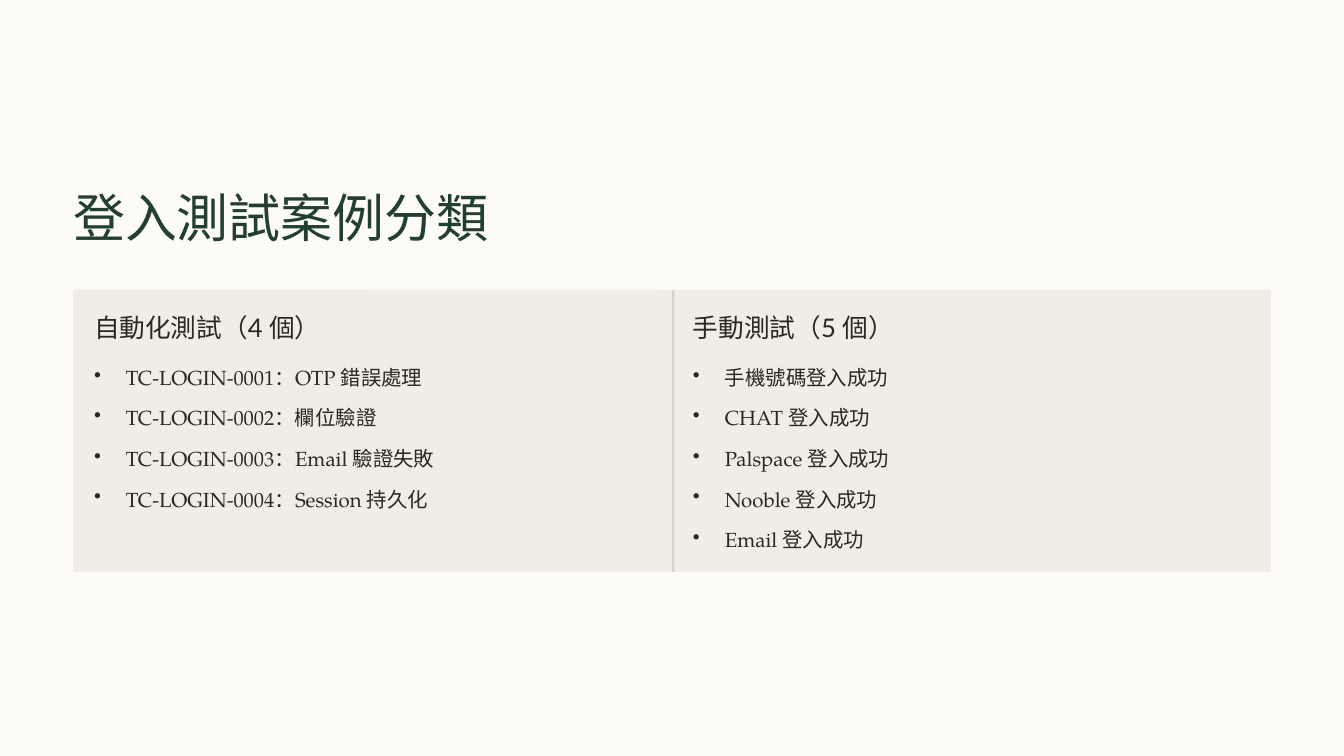
from dataclasses import dataclass

from lxml import etree
from pptx import Presentation
from pptx import util as u
from pptx.dml.color import RGBColor
from pptx.enum import shapes, text
from pptx.oxml.ns import qn


@dataclass(frozen=True)
class Theme:
    """Colours, fonts and type sizes of the deck."""
    page: str = "FCFBF8"
    panel: str = "F0EDE6"
    rule: str = "D6D3CC"
    green: str = "233E32"
    ink: str = "2C2821"
    sans: str = "Lato"
    serif: str = "TeX Gyre Pagella"
    title: float = 44.5
    head: float = 22
    body: float = 17.5


class Page:
    """Holds the theme and the current slide and adds elements to it."""

    def __init__(self, deck, theme):
        self.theme = theme
        self.slide = deck.slides.add_slide(deck.slide_layouts[5])
        back = self.slide.background.fill
        back.solid()
        back.fore_color.rgb = RGBColor.from_string(theme.page)

    def frame(self, shape, wrap=False):
        frame = shape.text_frame
        frame.margin_left = frame.margin_right = 0
        frame.margin_top = frame.margin_bottom = 0
        frame.word_wrap = wrap
        frame.auto_size = text.MSO_AUTO_SIZE.NONE
        frame.vertical_anchor = text.MSO_ANCHOR.TOP
        return frame

    def style(self, para, face, size, color, pitch):
        para.alignment = text.PP_ALIGN.LEFT
        para.line_spacing = u.Pt(pitch)
        para.font.name = face
        para.font.size = u.Pt(size)
        para.font.color.rgb = RGBColor.from_string(color)

    def title(self, words, box):
        shape = self.slide.shapes.title
        shape.left, shape.top, shape.width, shape.height = map(u.Inches, box)
        frame = self.frame(shape)
        frame.text = words
        t = self.theme
        self.style(frame.paragraphs[0], t.sans, t.title, t.green, 55.5)

    def block(self, box, color, round=None):
        kind = shapes.MSO_SHAPE.RECTANGLE
        if round is not None:
            kind = shapes.MSO_SHAPE.ROUNDED_RECTANGLE
        shape = self.slide.shapes.add_shape(kind, *map(u.Inches, box))
        if round is not None:
            shape.adjustments[0] = round
        shape.shadow.inherit = False
        shape.fill.solid()
        shape.fill.fore_color.rgb = RGBColor.from_string(color)
        shape.line.fill.background()

    def head(self, words, box):
        frame = self.frame(self.slide.shapes.add_textbox(*map(u.Inches, box)))
        frame.text = words
        t = self.theme
        self.style(frame.paragraphs[0], t.sans, t.head, t.ink, 27.5)

    def bullets(self, items, box):
        shape = self.slide.shapes.add_textbox(*map(u.Inches, box))
        frame = self.frame(shape, wrap=True)
        frame.text = "\n".join(items)
        t = self.theme
        for i, para in enumerate(frame.paragraphs):
            props = para._p.get_or_add_pPr()
            props.set("marL", str(u.Inches(0.38)))
            props.set("indent", str(u.Inches(-0.38)))
            etree.SubElement(props, qn("a:buChar")).set("char", "•")
            self.style(para, t.serif, t.body, t.ink, 28.5)
            if i:
                para.space_before = u.Pt(6.3)


def main():
    deck = Presentation()
    deck.slide_width, deck.slide_height = u.Inches(16), u.Inches(9)
    theme = Theme()
    page = Page(deck, theme)
    page.title("登入測試案例分類", (0.87, 2.18, 6.2, 0.78))

    left, top, half, high = 0.87, 3.45, 7.13, 3.36
    groups = [
        ("自動化測試（4 個）", 0.011, [
            "TC-LOGIN-0001：OTP 錯誤處理",
            "TC-LOGIN-0002：欄位驗證",
            "TC-LOGIN-0003：Email 驗證失敗",
            "TC-LOGIN-0004：Session 持久化",
        ]),
        ("手動測試（5 個）", None, [
            "手機號碼登入成功",
            "CHAT 登入成功",
            "Palspace 登入成功",
            "Nooble 登入成功",
            "Email 登入成功",
        ]),
    ]
    page.block((left, top, 2 * half, high), theme.panel, 0.011)
    for i, (name, round, items) in enumerate(groups):
        x = left + i * half
        page.block((x, top, half, high), theme.panel, round)
        if i:
            page.block((x, top, 0.03, high), theme.rule, 0.5)
        page.head(name, (x + 0.25, top + 0.25, 3.1, 0.39))
        tall = 0.4 + 0.48 * (len(items) - 1)
        page.bullets(items, (x + 0.25, top + 0.79, 6.64, tall))

    deck.save("out.pptx")


if __name__ == "__main__":
    main()
